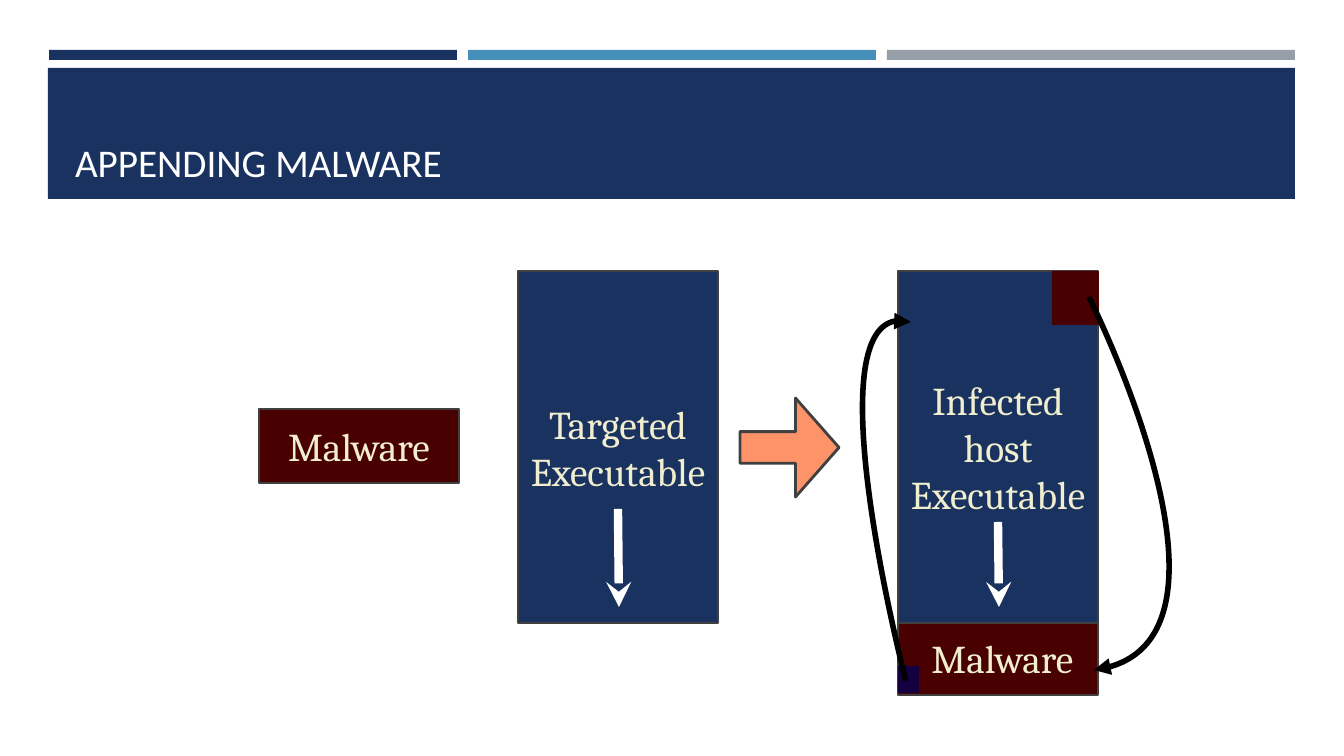
from lxml.etree import SubElement
from pptx import Presentation
from pptx.dml.color import RGBColor
from pptx.enum.shapes import MSO_CONNECTOR, MSO_SHAPE
from pptx.enum.text import MSO_ANCHOR, PP_ALIGN
from pptx.oxml.ns import qn
from pptx.util import Emu, Pt

NAVY, MAROON, EDGE, WHITE = "1A3260", "490000", "404040", "FFFFFF"
CREAM, BLACK = "F0EECF", "000000"


def px(n):
    """Turn slide pixels into EMU."""
    return Emu(round(n * 914400 / 100.8))


def rgb(value):
    """Turn a hex string into a colour."""
    return RGBColor.from_string(value)


def add_text(tf, text, size=28.1, font="Cambria", color=CREAM,
             align=PP_ALIGN.CENTER, anchor=MSO_ANCHOR.MIDDLE, inset=0):
    """Write each line of text as a formatted paragraph."""
    tf.word_wrap = True
    tf.vertical_anchor = anchor
    tf.margin_left = tf.margin_right = px(inset)
    tf.margin_top = tf.margin_bottom = px(inset / 2)
    for i, line in enumerate(text.split("\n")):
        p = tf.add_paragraph() if i else tf.paragraphs[0]
        p.alignment = align
        r = p.add_run()
        r.text = line
        r.font.size, r.font.name = Pt(size), font
        r.font.color.rgb = rgb(color)


def add_block(s, x, y, w, h, fill, text="", edge=None, kind=MSO_SHAPE.RECTANGLE):
    """Add a filled shape with optional outline and text."""
    sp = s.shapes.add_shape(kind, px(x), px(y), px(w), px(h))
    sp.shadow.inherit = False
    sp.fill.solid()
    sp.fill.fore_color.rgb = rgb(fill)
    if edge:
        sp.line.color.rgb = rgb(edge)
        sp.line.width = Pt(2)
    else:
        sp.line.fill.background()
    if text:
        add_text(sp.text_frame, text)
    return sp


def style_line(sp, color, width, head):
    """Set line colour and width and put an arrowhead at its end."""
    sp.line.color.rgb = rgb(color)
    sp.line.width = Pt(width)
    SubElement(sp.line._get_or_add_ln(), qn("a:tailEnd"), type=head)


def add_down_arrow(s, x, top, bottom):
    """Add a white arrow that points down the code."""
    c = s.shapes.add_connector(MSO_CONNECTOR.STRAIGHT, px(x), px(top), px(x + 1), px(bottom))
    style_line(c, WHITE, 6, "stealth")
    SubElement(c._element.spPr, qn("a:effectLst"))


def add_jump(s, start, bend, end):
    """Add a curved jump arrow whose first control point is its start."""
    def at(t):
        a, b, c = (1 - t) ** 2 * (1 + 2 * t), 3 * (1 - t) * t * t, t ** 3
        return tuple(px(a * u + b * v + c * w) for u, v, w in zip(start, bend, end))

    fb = s.shapes.build_freeform(*at(0))
    fb.add_line_segments([at(i / 40) for i in range(1, 41)], close=False)
    sp = fb.convert_to_shape()
    path = sp._element.spPr.find(".//" + qn("a:path"))
    for seg in path.findall(qn("a:lnTo")):
        path.remove(seg)
    curve = SubElement(path, qn("a:cubicBezTo"))
    for x, y in (start, bend, end):
        SubElement(curve, qn("a:pt"), x=str(px(x) - sp.left), y=str(px(y) - sp.top))
    sp.shadow.inherit = False
    sp.fill.background()
    style_line(sp, BLACK, 4, "triangle")


def add_header(s, title):
    """Add the three bars and the title band."""
    for i, color in enumerate((NAVY, "4590B8", "969FA7")):
        add_block(s, 49 + 419 * i, 50, 408, 10, color)
    add_block(s, 48, 68, 1247, 131, NAVY)
    tb = s.shapes.add_textbox(px(65), px(78), px(1216), px(112))
    add_text(tb.text_frame, title, size=28, font="Calibri", color=WHITE,
             align=PP_ALIGN.LEFT, anchor=MSO_ANCHOR.BOTTOM, inset=10)


def main():
    """Build the slide and save it."""
    prs = Presentation()
    prs.slide_width, prs.slide_height = px(1344), px(756)
    s = prs.slides.add_slide(prs.slide_layouts[6])
    add_header(s, "APPENDING MALWARE")

    add_block(s, 518, 271, 200, 352, NAVY, "Targeted\nExecutable", EDGE)
    add_block(s, 898, 621, 200, 74, MAROON, " Malware", EDGE)
    add_down_arrow(s, 618, 509, 607)
    arrow = add_block(s, 740, 398, 99, 99, "FE936A", edge=EDGE, kind=MSO_SHAPE.RIGHT_ARROW)
    arrow.adjustments[0], arrow.adjustments[1] = 0.32, 0.44
    add_block(s, 898, 271, 200, 352, NAVY, "Infected\nhost\nExecutable", EDGE)
    add_block(s, 259, 409, 200, 74, MAROON, "Malware", EDGE)
    add_block(s, 1052, 271, 47, 54, MAROON)
    add_block(s, 898, 666, 21, 27, "140041")
    add_down_arrow(s, 998, 522, 607)
    add_jump(s, (1089, 297), (1266, 648), (1094, 670))
    add_jump(s, (906, 681), (805, 294), (911, 322))
    prs.save("out.pptx")


if __name__ == "__main__":
    main()
